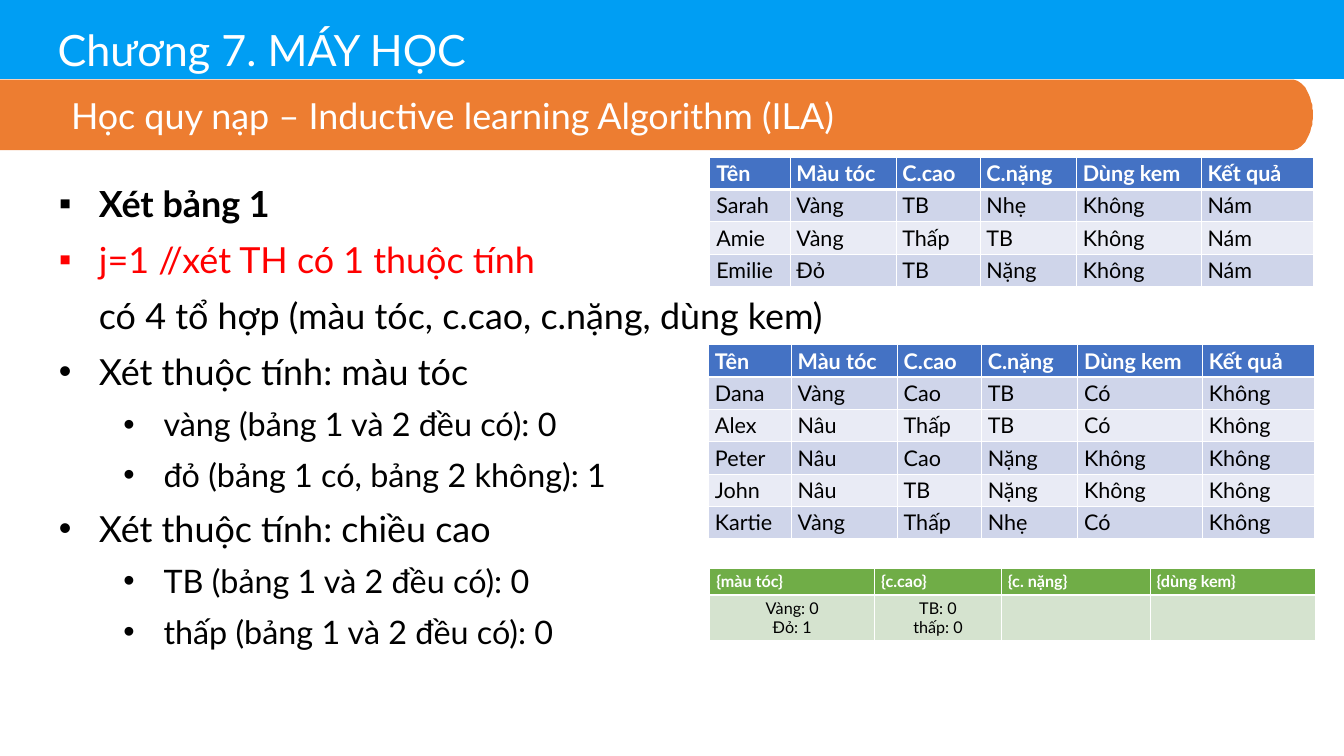
from dataclasses import dataclass
from math import cos, pi, sin

from lxml.etree import SubElement
from pptx import Presentation
from pptx.dml.color import RGBColor
from pptx.enum.text import MSO_ANCHOR as Anchor, MSO_AUTO_SIZE as AutoSize, PP_ALIGN as Align
from pptx.oxml.ns import qn
from pptx.util import Pt

PX = 9144  # 100 px to the inch


@dataclass(frozen=True)
class Theme:
    font: str = "Lato"
    white: str = "FFFFFF"
    black: str = "000000"
    red: str = "FF0000"
    title_band: str = "009EF3"
    topic_band: str = "ED7D31"
    blue_head: str = "4472C4"
    blue_rows: tuple = ("CFD5EA", "E9EBF5")
    green_head: str = "70AD47"
    green_rows: tuple = ("D5E3CF",)
    title_size: int = 48
    body_size: int = 40
    detail_size: int = 36
    data_size: int = 24
    result_size: int = 18


THEME = Theme()

# Text, level, bullet, colour, bold
POINTS = [
    ("Xét bảng 1", 0, "▪", THEME.black, True),
    ("j=1 //xét TH có 1 thuộc tính", 0, "▪", THEME.red, False),
    ("có 4 tổ hợp (màu tóc, c.cao, c.nặng, dùng kem)", 0, None, THEME.black, False),
    ("Xét thuộc tính: màu tóc", 0, "•", THEME.black, False),
    ("vàng (bảng 1 và 2 đều có): 0", 1, "•", THEME.black, False),
    ("đỏ (bảng 1 có, bảng 2 không): 1", 1, "•", THEME.black, False),
    ("Xét thuộc tính: chiều cao", 0, "•", THEME.black, False),
    ("TB (bảng 1 và 2 đều có): 0", 1, "•", THEME.black, False),
    ("thấp (bảng 1 và 2 đều có): 0", 1, "•", THEME.black, False),
]
COLUMNS = ["Tên", "Màu tóc", "C.cao", "C.nặng", "Dùng kem", "Kết quả"]
BURNED = [
    COLUMNS,
    ["Sarah", "Vàng", "TB", "Nhẹ", "Không", "Nám"],
    ["Amie", "Vàng", "Thấp", "TB", "Không", "Nám"],
    ["Emilie", "Đỏ", "TB", "Nặng", "Không", "Nám"],
]
UNBURNED = [
    COLUMNS,
    ["Dana", "Vàng", "Cao", "TB", "Có", "Không"],
    ["Alex", "Nâu", "Thấp", "TB", "Có", "Không"],
    ["Peter", "Nâu", "Cao", "Nặng", "Không", "Không"],
    ["John", "Nâu", "TB", "Nặng", "Không", "Không"],
    ["Kartie", "Vàng", "Thấp", "Nhẹ", "Có", "Không"],
]
COUNTS = [
    ["{màu tóc}", "{c.cao}", "{c. nặng}", "{dùng kem}"],
    ["Vàng: 0\nĐỏ: 1", "TB: 0\nthấp: 0", "", ""],
]


def add_span(para, text, size, color, bold=False):
    span = para.add_run()
    span.text = text
    font = span.font
    font.name, font.size, font.bold = THEME.font, Pt(size), bold
    font.color.rgb = RGBColor.from_string(color)


def place(shape, box):
    shape.left, shape.top, shape.width, shape.height = (n * PX for n in box)


def set_frame(frame, anchor, inset):
    frame.word_wrap, frame.auto_size = True, AutoSize.NONE
    frame.vertical_anchor = anchor
    frame.margin_left = frame.margin_right = inset * PX
    frame.margin_top = frame.margin_bottom = 0


def set_indent(para, left, hanging, bullet=None):
    props = para._p.get_or_add_pPr()
    props.set("marL", str(left * PX))
    props.set("indent", str(-hanging * PX))
    if bullet:
        SubElement(props, qn("a:buChar")).set("char", bullet)
    else:
        SubElement(props, qn("a:buNone"))


def add_band(page, points, color):
    builder = page.shapes.build_freeform(*points[0], scale=PX)
    builder.add_line_segments(points[1:], close=True)
    band = builder.convert_to_shape()
    band.shadow.inherit = False
    band.fill.solid()
    band.fill.fore_color.rgb = RGBColor.from_string(color)
    band.line.fill.background()
    return band


def add_title(page, box, text):
    left, top, width, height = box
    right, bottom = left + width, top + height
    band = add_band(page, [(left, top), (right, top), (right, bottom), (left, bottom)],
                    THEME.title_band)
    title = page.shapes.title
    title.element.addprevious(band.element)  # the band lies behind the title
    place(title, (left + 89, top + 36, width - 204, 82))
    set_frame(title.text_frame, Anchor.TOP, 0)
    para = title.text_frame.paragraphs[0]
    para.alignment = Align.LEFT
    add_span(para, text, THEME.title_size, THEME.white)


def add_topic(page, box, text):
    """Band with an elliptical right end."""
    left, top, width, height = box
    curve, steps = 34, 32
    center_x, center_y = left + width - curve, top + height / 2
    angles = [pi * step / steps - pi / 2 for step in range(steps + 1)]
    end = [(round(center_x + curve * cos(a)), round(center_y + height / 2 * sin(a)))
           for a in angles]
    band = add_band(page, [(left, top), *end, (left, top + height)], THEME.topic_band)
    set_frame(band.text_frame, Anchor.MIDDLE, 10)
    para = band.text_frame.paragraphs[0]
    set_indent(para, 100, 0)
    para.alignment = Align.JUSTIFY
    add_span(para, text, THEME.body_size, THEME.white)


def add_points(page, box, points):
    body = page.placeholders[1]
    place(body, box)
    frame = body.text_frame
    set_frame(frame, Anchor.TOP, 0)
    for index, (text, level, bullet, color, bold) in enumerate(points):
        para = frame.add_paragraph() if index else frame.paragraphs[0]
        set_indent(para, 64 + 100 * level, 62 if bullet else 0, bullet)
        para.level, para.alignment = level, Align.JUSTIFY
        para.line_spacing, para.space_before = 1.3, Pt(0)
        add_span(para, text, THEME.detail_size if level else THEME.body_size, color, bold)


def set_borders(cell, top, bottom):
    props = cell._tc.get_or_add_tcPr()
    for side, points in (("L", 1), ("R", 1), ("T", top), ("B", bottom)):
        line = SubElement(props, qn(f"a:ln{side}"), w=str(Pt(points)))
        fill = SubElement(line, qn("a:solidFill"))
        SubElement(fill, qn("a:srgbClr"), val=THEME.white)


def add_grid(page, corner, widths, heights, rows, size, head, bands, align=Align.LEFT):
    box = (*corner, sum(widths), sum(heights))
    table = page.shapes.add_table(len(rows), len(widths), *(n * PX for n in box)).table
    table.horz_banding = False
    for column, width in zip(table.columns, widths):
        column.width = width * PX
    for index, (row, height, texts) in enumerate(zip(table.rows, heights, rows)):
        row.height = height * PX
        is_head = index == 0
        fill = head if is_head else bands[(index - 1) % len(bands)]
        for cell, text in zip(row.cells, texts):
            set_borders(cell, 3 if index == 1 else 1, 3 if is_head else 1)
            cell.fill.solid()
            cell.fill.fore_color.rgb = RGBColor.from_string(fill)
            for number, line in enumerate(text.split("\n") if text else []):
                frame = cell.text_frame
                para = frame.add_paragraph() if number else frame.paragraphs[0]
                para.alignment = Align.LEFT if is_head else align
                add_span(para, line, size, THEME.white if is_head else THEME.black, is_head)


def main():
    deck = Presentation()
    deck.slide_width, deck.slide_height = 2079 * PX, 1169 * PX
    page = deck.slides.add_slide(deck.slide_layouts[1])
    add_title(page, (0, 0, 2079, 122), "Chương 7. MÁY HỌC")
    add_points(page, (89, 261, 1850, 747), POINTS)
    add_topic(page, (0, 123, 2031, 109), "Học quy nạp – Inductive learning Algorithm (ILA)")
    traits = [164, 130, 149, 193, 174]
    blue = (THEME.data_size, THEME.blue_head, THEME.blue_rows)
    add_grid(page, (1098, 243), [124, *traits], [50] * 4, BURNED, *blue)
    add_grid(page, (1096, 533), [128, *traits], [50] * 6, UNBURNED, *blue)
    add_grid(page, (1098, 879), [255, 196, 230, 255], [41, 69], COUNTS,
             THEME.result_size, THEME.green_head, THEME.green_rows, Align.CENTER)
    deck.save("out.pptx")


if __name__ == "__main__":
    main()
